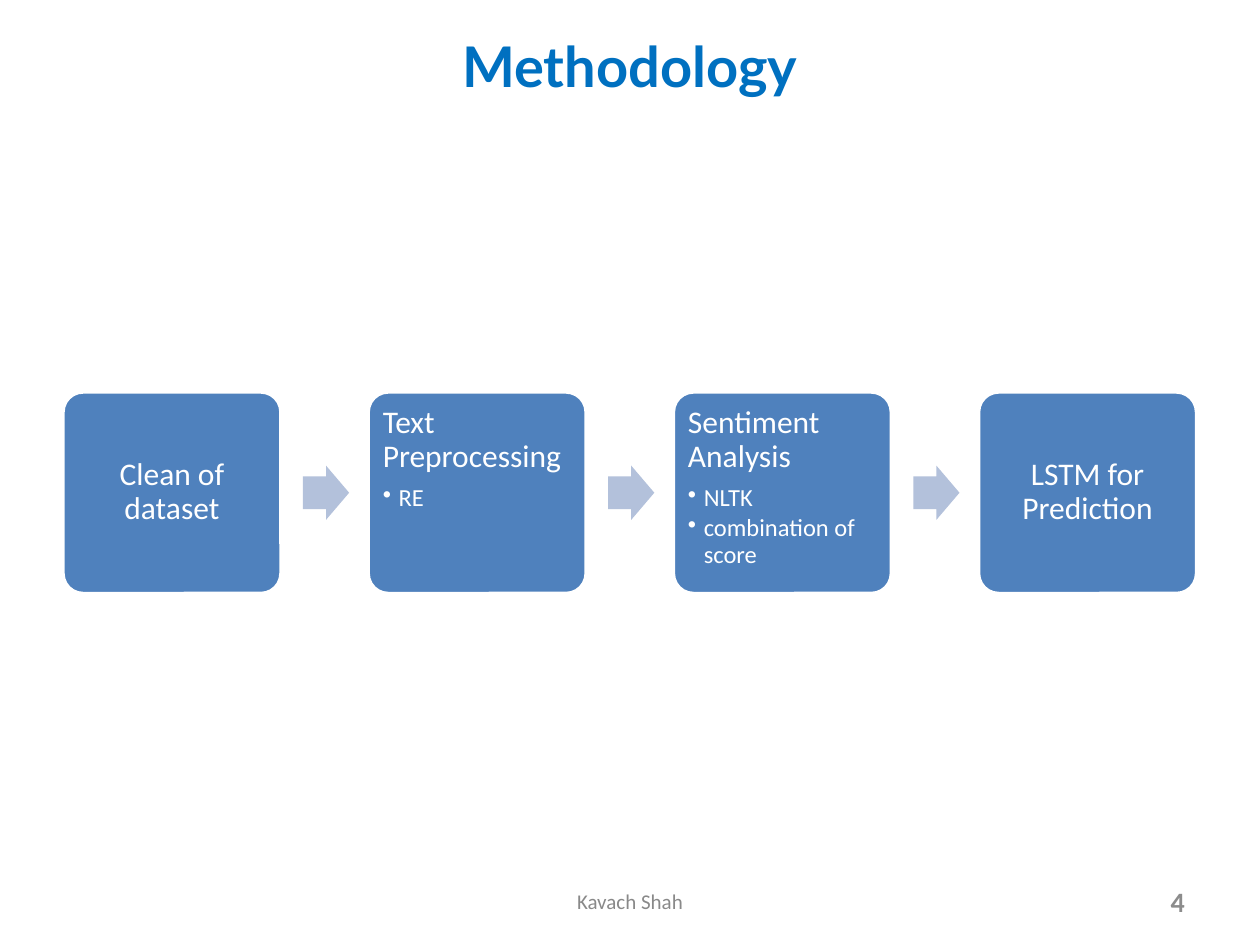
"""Builds the Methodology slide: a four-step process with arrows."""
from lxml import etree
from pptx import Presentation
from pptx import util as u
from pptx.dml.color import RGBColor
from pptx.enum import shapes, text
from pptx.oxml.ns import qn

COLOURS = {
    "title": "0070C0",
    "box": "4F81BD",
    "arrow": "B3C1DB",
    "white": "FFFFFF",
    "footer": "898989",
    "number": "8C8C8C",
}
STEPS = [
    ("Clean of dataset", []),
    ("Text Preprocessing", ["RE"]),
    ("Sentiment Analysis", ["NLTK", "combination of score"]),
    ("LSTM for Prediction", []),
]
STEP_LEFT, STEP_PITCH = 36, 174.4
STEP_TOP, STEP_WIDTH, STEP_HEIGHT = 224, 124.6, 115.2
ARROW_OFFSET, ARROW_WIDTH, ARROW_HEIGHT = 137.1, 26.4, 31
BULLET_INDENT = 9


def colour(name):
    return RGBColor.from_string(COLOURS[name])


def style_font(paragraph, size, colour_name, face="Calibri", bold=False):
    font = paragraph.font
    font.name, font.size, font.bold = face, u.Pt(size), bold
    font.color.rgb = colour(colour_name)


def add_label(slide, words, box, align, size, colour_name, face="Calibri", bold=False):
    frame = slide.shapes.add_textbox(*map(u.Pt, box)).text_frame
    frame.word_wrap = True
    frame.vertical_anchor = text.MSO_ANCHOR.MIDDLE
    paragraph = frame.paragraphs[0]
    paragraph.text = words
    paragraph.alignment = align
    style_font(paragraph, size, colour_name, face, bold)


def add_filled_shape(slide, kind, box, fill, adjustments):
    shape = slide.shapes.add_shape(kind, *map(u.Pt, box))
    shape.shadow.inherit = False
    shape.fill.solid()
    shape.fill.fore_color.rgb = colour(fill)
    shape.line.fill.background()
    for index, value in enumerate(adjustments):
        shape.adjustments[index] = value
    return shape


def add_bullet(paragraph):
    properties = paragraph._p.get_or_add_pPr()
    properties.set("marL", str(u.Pt(BULLET_INDENT)))
    properties.set("indent", str(-u.Pt(BULLET_INDENT)))
    etree.SubElement(properties, qn("a:buChar")).set("char", "•")


def write_step_line(paragraph, words, align, size, space_after):
    paragraph.text = words
    paragraph.alignment = align
    paragraph.line_spacing = 0.9
    paragraph.space_after = u.Pt(space_after)


def add_step(slide, left, heading, bullets):
    shape = add_filled_shape(slide, shapes.MSO_SHAPE.ROUNDED_RECTANGLE,
                             (left, STEP_TOP, STEP_WIDTH, STEP_HEIGHT), "box", [0.1])
    shape.line.color.rgb = colour("white")
    shape.line.width = u.Pt(2)
    frame = shape.text_frame
    frame.word_wrap = True
    frame.margin_left = frame.margin_right = u.Pt(5)
    frame.margin_top = frame.margin_bottom = u.Pt(5)
    frame.vertical_anchor = text.MSO_ANCHOR.TOP if bullets else text.MSO_ANCHOR.MIDDLE
    align = text.PP_ALIGN.LEFT if bullets else text.PP_ALIGN.CENTER
    paragraph = frame.paragraphs[0]
    write_step_line(paragraph, heading, align, 18, 6.3)
    style_font(paragraph, 18, "white")
    for bullet in bullets:
        paragraph = frame.add_paragraph()
        paragraph.level = 1
        write_step_line(paragraph, bullet, align, 14, 2.1)
        add_bullet(paragraph)
        style_font(paragraph, 14, "white")


def add_arrow(slide, left):
    top = STEP_TOP + (STEP_HEIGHT - ARROW_HEIGHT) / 2
    add_filled_shape(slide, shapes.MSO_SHAPE.RIGHT_ARROW,
                     (left, top, ARROW_WIDTH, ARROW_HEIGHT), "arrow", [0.6, 0.5])


def main():
    presentation = Presentation()
    presentation.slide_width, presentation.slide_height = u.Pt(720), u.Pt(540)
    slide = presentation.slides.add_slide(presentation.slide_layouts[6])
    add_label(slide, "Methodology", (36, 9.4, 648, 56), text.PP_ALIGN.CENTER,
              32, "title", "Lato", True)
    for index, (heading, bullets) in enumerate(STEPS):
        left = STEP_LEFT + index * STEP_PITCH
        add_step(slide, left, heading, bullets)
        if index < len(STEPS) - 1:
            add_arrow(slide, left + ARROW_OFFSET)
    add_label(slide, "Kavach Shah", (246, 500.5, 228, 28.8), text.PP_ALIGN.CENTER,
              12, "footer")
    add_label(slide, "4", (516, 500.5, 168, 28.8), text.PP_ALIGN.RIGHT,
              16, "number", bold=True)
    presentation.save("out.pptx")


if __name__ == "__main__":
    main()
